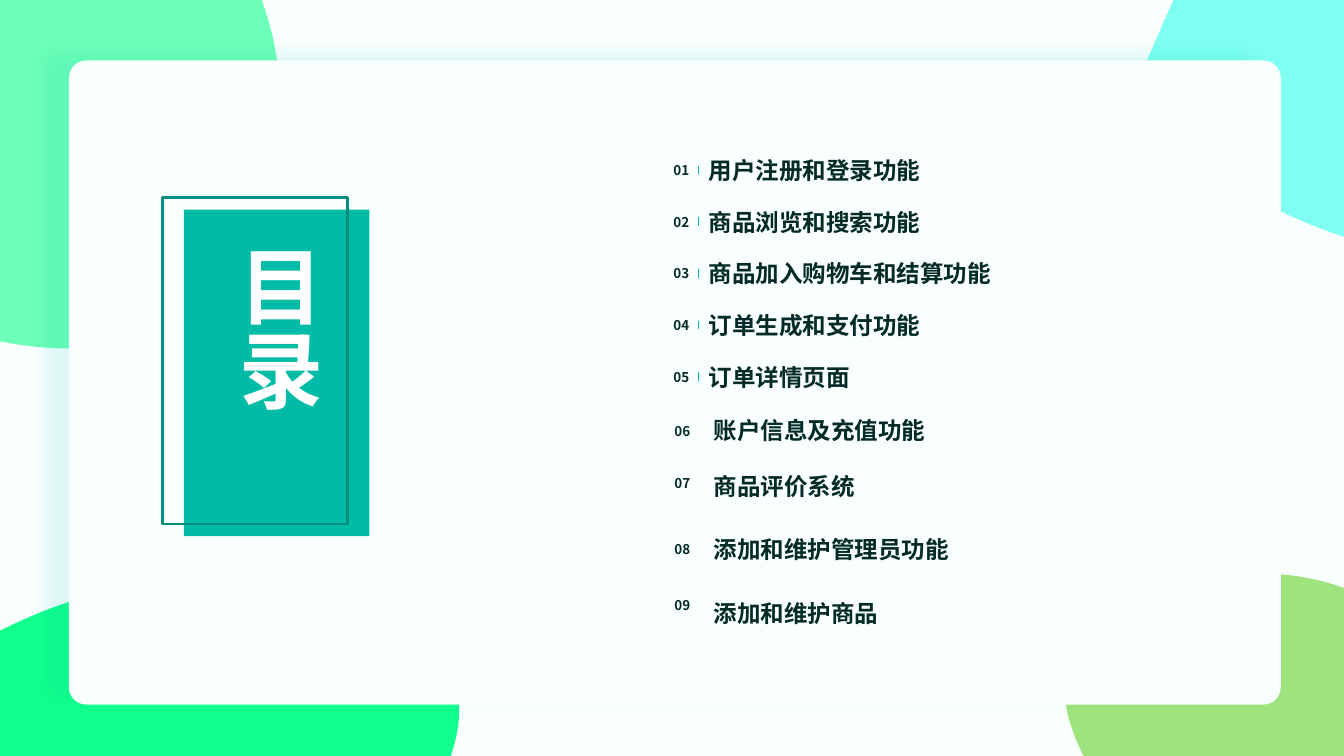
from math import cos, radians, sin
from typing import NamedTuple

from lxml.etree import SubElement
from pptx import Presentation
from pptx.dml.color import RGBColor
from pptx.enum.shapes import MSO_CONNECTOR, MSO_SHAPE
from pptx.enum.text import MSO_ANCHOR, MSO_AUTO_SIZE, PP_ALIGN
from pptx.oxml.ns import qn
from pptx.util import Emu, Inches, Pt

FONT = "Noto Sans CJK SC"
PAPER = RGBColor(0xF9, 0xFF, 0xFE)
INK = RGBColor(0x02, 0x2A, 0x26)
TEAL = RGBColor(0x00, 0xBC, 0xA7)
TEAL_DARK = RGBColor(0x00, 0x8D, 0x7D)
TICK = RGBColor(0x00, 0xB8, 0xA3)
CYAN = RGBColor(0x7E, 0xFF, 0xF1)
OLIVE = RGBColor(0x9E, 0xE3, 0x7D)
MINT = RGBColor(0x6B, 0xFF, 0xB8)
GREEN = RGBColor(0x11, 0xFF, 0x8D)
WHITE = RGBColor(0xFF, 0xFF, 0xFF)

CELL = Inches(0.1)  # the slide is a grid of 133.33 columns by 75 rows


class Box(NamedTuple):
    col: float
    row: float
    cols: float
    rows: float


class Blob(NamedTuple):
    color: RGBColor
    frame: Box
    rotation: float
    curves: list[tuple[float, ...]]  # closed: the last curve ends where the first begins


class Entry(NamedTuple):
    text: str
    row: float
    number_row: float
    ticked: bool


BLOBS = [
    Blob(CYAN, Box(112.5, -9.5, 41.7, 38.5), 34.4, [
        (122.4, -19.8, 115.2, 4.4, 110.6, 12.8), (106, 21.2, 115.1, 14.6, 123.9, 19.4),
        (132.8, 24.2, 146.6, 28.9, 151.2, 20.5), (155.8, 12.1, 140, -10.1, 131.2, -14.9)]),
    Blob(OLIVE, Box(101.3, 61.7, 64.1, 39.3), 34.6, [
        (132.7, 107.1, 151.2, 118.2, 154.2, 106.7), (159.3, 87.7, 153.2, 68.5, 135.5, 59.3),
        (128.5, 55.7, 119, 56.5, 112.7, 59.1), (98.3, 65, 107.5, 78.3, 122.8, 95.7)]),
    Blob(MINT, Box(-26.8, -26.7, 51.3, 64.9), 137, [
        (10.7, -19.2, -15.4, -25.3, -24.2, -17.2), (-32.9, -9, -30.3, 12.2, -19.9, 23.3),
        (-9.6, 34.4, 11.4, 38.4, 20.1, 30.3), (28.9, 22.2, 31.3, 3, 21, -8.1)]),
    Blob(GREEN, Box(-9, 45.4, 43, 70.4), 250.6, [
        (28.8, 98.7, 47.9, 79.6, 45.3, 68.3), (41.7, 52.7, 21.9, 54.9, 6.6, 59.8),
        (-9, 64.8, -44.7, 91, -7.2, 86.8), (20.4, 83.6, -17.2, 112.6, 5, 105.9)]),
]

TICKED_TEXTS = ["用户注册和登录功能", "商品浏览和搜索功能", "商品加入购物车和结算功能",
                "订单生成和支付功能", "订单详情页面"]
TICKED_ROWS = [14.85 + 5.12 * i for i in range(len(TICKED_TEXTS))]
ENTRIES = [Entry(text, row, row, True) for text, row in zip(TICKED_TEXTS, TICKED_ROWS)] + [
    Entry("账户信息及充值功能", 40.65, 40.7, False),
    Entry("商品评价系统", 46.2, 45.9, False),
    Entry("添加和维护管理员功能", 52.45, 52.45, False),
    Entry("添加和维护商品", 58.8, 58, False),
]


def grid(cells: float) -> Emu:
    return Emu(round(cells * CELL))


def place(box: Box) -> list[Emu]:
    return [grid(v) for v in box]


def to_frame(x: float, y: float, blob: Blob) -> tuple[Emu, Emu]:
    """Turn a point on the slide into one inside the blob's unrotated frame."""
    frame, angle = blob.frame, radians(blob.rotation)
    dx = x - frame.col - frame.cols / 2
    dy = y - frame.row - frame.rows / 2
    return (grid(dx * cos(angle) + dy * sin(angle) + frame.cols / 2),
            grid(dy * cos(angle) - dx * sin(angle) + frame.rows / 2))


def add_blob(shapes, blob: Blob) -> None:
    """Draw a rotated outline whose segments are cubic Bezier curves."""
    curves = [[to_frame(x, y, blob) for x, y in zip(c[::2], c[1::2])] for c in blob.curves]
    start = curves[-1][-1]
    builder = shapes.build_freeform(*start, scale=1.0)
    builder.add_line_segments([curve[-1] for curve in curves], close=True)
    sp = builder.convert_to_shape()
    sp.left, sp.top, sp.width, sp.height = place(blob.frame)
    sp.rotation = blob.rotation

    outline = sp._element.spPr.find(".//" + qn("a:path"))
    outline.clear()
    outline.set("w", str(sp.width))
    outline.set("h", str(sp.height))
    for tag, points in [("a:moveTo", [start])] + [("a:cubicBezTo", c) for c in curves]:
        segment = SubElement(outline, qn(tag))
        for x, y in points:
            SubElement(segment, qn("a:pt"), x=str(x), y=str(y))
    SubElement(outline, qn("a:close"))

    sp.shadow.inherit = False
    sp.fill.solid()
    sp.fill.fore_color.rgb = blob.color
    sp.line.fill.background()


def add_panel(shapes, kind: MSO_SHAPE, box: Box, fill: RGBColor | None = None,
              line: RGBColor | None = None):
    sp = shapes.add_shape(kind, *place(box))
    sp.shadow.inherit = False
    if fill is None:
        sp.fill.background()
    else:
        sp.fill.solid()
        sp.fill.fore_color.rgb = fill
    if line is None:
        sp.line.fill.background()
    else:
        sp.line.color.rgb = line
        sp.line.width = Pt(2)
    return sp


def add_glow(sp) -> None:
    """Give the card a soft teal shadow towards the upper left."""
    effects = sp._element.spPr.find(qn("a:effectLst"))
    shadow = SubElement(effects, qn("a:outerShdw"), blurRad=str(Pt(10)), dist=str(Pt(18)),
                        dir=str(197 * 60000), algn="ctr", rotWithShape="0")
    color = SubElement(shadow, qn("a:srgbClr"), val=str(TEAL))
    SubElement(color, qn("a:alpha"), val="10000")


def style(p, size: float, color: RGBColor) -> None:
    p.font.size = Pt(size)
    p.font.bold = True
    p.font.color.rgb = color
    p.font.name = FONT
    for r in p.runs:
        SubElement(r._r.get_or_add_rPr(), qn("a:ea"), typeface=FONT)


def add_label(shapes, text: str, box: Box, size: float) -> None:
    tf = shapes.add_textbox(*place(box)).text_frame
    tf.word_wrap = True
    tf.vertical_anchor = MSO_ANCHOR.MIDDLE
    tf.text = text
    style(tf.paragraphs[0], size, INK)


def add_tick(shapes, col: float, row: float) -> None:
    tick = shapes.add_connector(MSO_CONNECTOR.STRAIGHT, grid(col), grid(row),
                                grid(col), grid(row + 0.85))
    tick.line.color.rgb = TICK
    tick.line.width = Pt(1)
    SubElement(tick._element.spPr, qn("a:effectLst"))


def add_entry(shapes, number: int, entry: Entry) -> None:
    text_col, number_col = (69.3, 65.8) if entry.ticked else (69.8, 65.9)
    add_label(shapes, entry.text, Box(text_col, entry.row, 32.6, 4.1), 16.8)
    add_label(shapes, f"{number:02}", Box(number_col, entry.number_row, 3.9, 4.1), 9.6)
    if entry.ticked:
        add_tick(shapes, text_col, entry.row + 1.6)


def set_title(shapes) -> None:
    title = shapes.title
    title.left, title.top, title.width, title.height = place(Box(21, 23.3, 12.1, 24.5))
    shapes._spTree.append(title._element)  # in front of the teal panel
    tf = title.text_frame
    tf.text = "目录"
    tf.word_wrap = True
    tf.auto_size = MSO_AUTO_SIZE.SHAPE_TO_FIT_TEXT
    tf.vertical_anchor = MSO_ANCHOR.TOP
    tf.margin_left = tf.margin_right = grid(0.5)
    tf.margin_top = tf.margin_bottom = grid(1)
    tf._txBody.bodyPr.set("vert", "eaVert")
    p = tf.paragraphs[0]
    p.alignment = PP_ALIGN.CENTER
    style(p, 60, WHITE)


def main() -> None:
    prs = Presentation()
    prs.slide_width, prs.slide_height = Inches(13.33), Inches(7.5)
    slide = prs.slides.add_slide(prs.slide_layouts[5])
    slide.background.fill.solid()
    slide.background.fill.fore_color.rgb = PAPER
    shapes = slide.shapes

    for blob in BLOBS:
        add_blob(shapes, blob)
    card = add_panel(shapes, MSO_SHAPE.ROUNDED_RECTANGLE, Box(6.83, 6, 120.2, 63.9), PAPER)
    card.adjustments[0] = 0.027
    add_glow(card)
    for number, entry in enumerate(ENTRIES, start=1):
        add_entry(shapes, number, entry)
    add_panel(shapes, MSO_SHAPE.RECTANGLE, Box(18.25, 20.8, 18.4, 32.4), fill=TEAL)
    add_panel(shapes, MSO_SHAPE.RECTANGLE, Box(16.1, 19.6, 18.4, 32.4), line=TEAL_DARK)
    set_title(shapes)
    prs.save("out.pptx")


if __name__ == "__main__":
    main()
